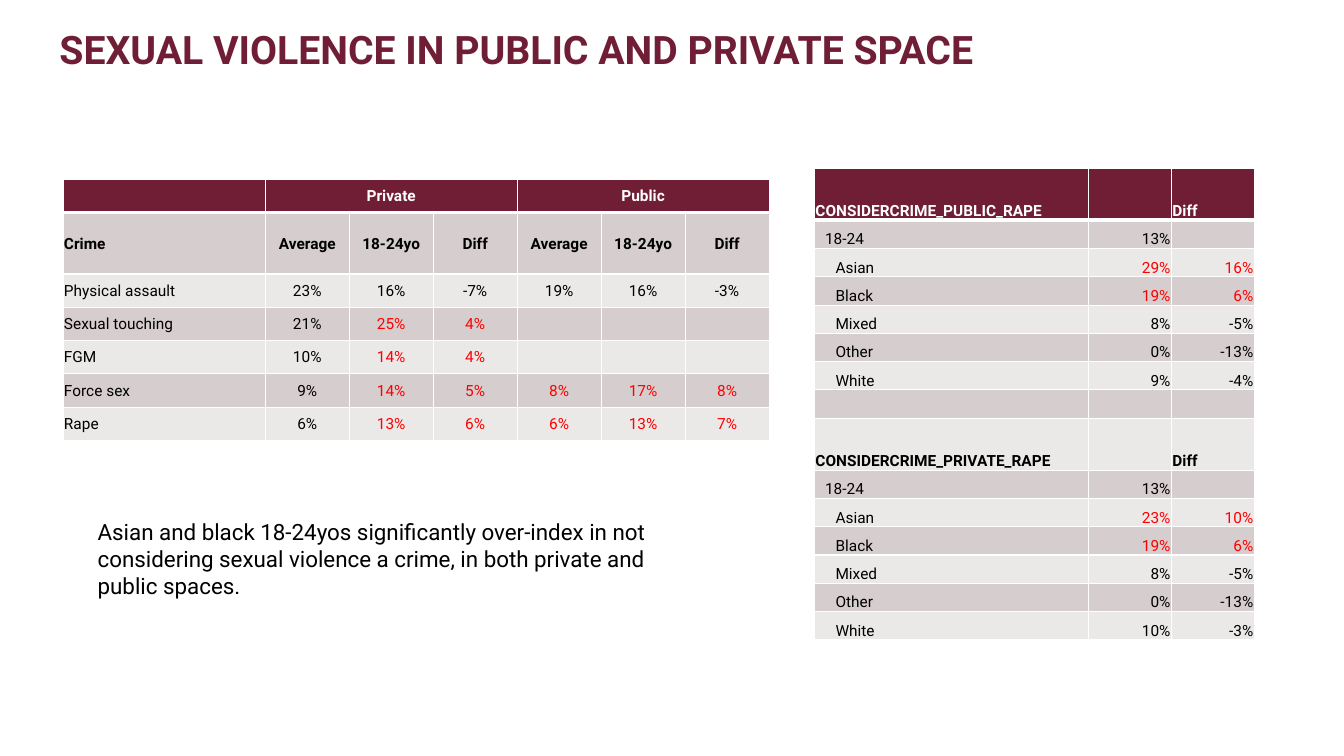
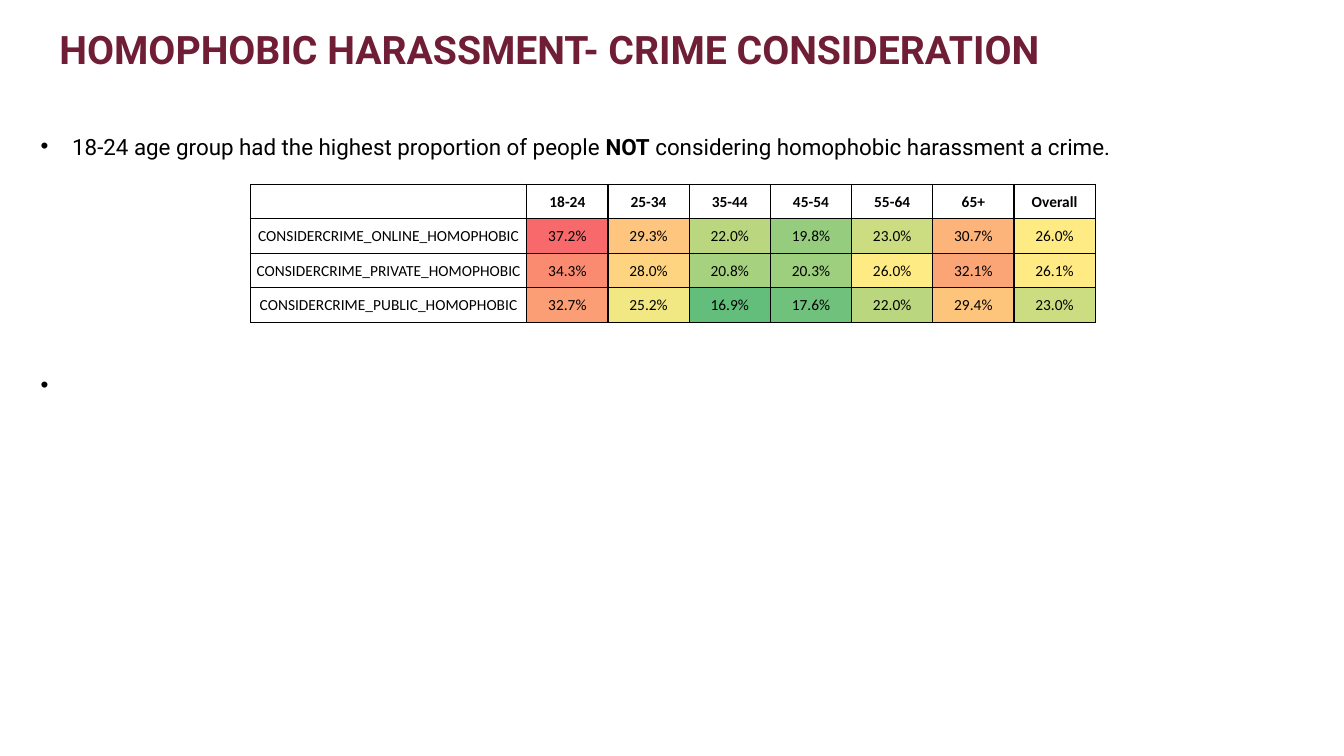
import pptx
import pptx.dml.color
import pptx.enum.text
import pptx.oxml
import pptx.oxml.ns
import pptx.util

Pt = pptx.util.Pt
ALIGN = pptx.enum.text.PP_ALIGN
ANCHOR = pptx.enum.text.MSO_ANCHOR
NAMESPACE = pptx.oxml.ns.nsdecls("a")

COLORS = {
    "maroon": "701D36", "band_dark": "D5CDCE", "band_light": "EBE8E8",
    "white": "FFFFFF", "black": "000000", "red": "FF0000",
    "low": "63BE7B", "middle": "FFEB84", "high": "F8696B",
}
FONT = "Roboto"
TABLE_FONT_SIZE = 11

CRIME_ROWS = [
    ["", "Private", "", "", "Public", "", ""],
    ["Crime", "Average", "18-24yo", "Diff", "Average", "18-24yo", "Diff"],
    ["Physical assault", "23%", "16%", "-7%", "19%", "16%", "-3%"],
    ["Sexual touching", "21%", "25%", "4%", "", "", ""],
    ["FGM", "10%", "14%", "4%", "", "", ""],
    ["Force sex", "9%", "14%", "5%", "8%", "17%", "8%"],
    ["Rape", "6%", "13%", "6%", "6%", "13%", "7%"],
]
ETHNICITY_ROWS = [
    ["CONSIDERCRIME_PUBLIC_RAPE", "", "Diff"],
    ["18-24", "13%", ""],
    ["Asian", "29%", "16%"],
    ["Black", "19%", "6%"],
    ["Mixed", "8%", "-5%"],
    ["Other", "0%", "-13%"],
    ["White", "9%", "-4%"],
    ["", "", ""],
    ["CONSIDERCRIME_PRIVATE_RAPE", "", "Diff"],
    ["18-24", "13%", ""],
    ["Asian", "23%", "10%"],
    ["Black", "19%", "6%"],
    ["Mixed", "8%", "-5%"],
    ["Other", "0%", "-13%"],
    ["White", "10%", "-3%"],
]
AGE_GROUPS = ["18-24", "25-34", "35-44", "45-54", "55-64", "65+", "Overall"]
HOMOPHOBIC_SHARES = {
    "CONSIDERCRIME_ONLINE_HOMOPHOBIC": [37.2, 29.3, 22.0, 19.8, 23.0, 30.7, 26.0],
    "CONSIDERCRIME_PRIVATE_HOMOPHOBIC": [34.3, 28.0, 20.8, 20.3, 26.0, 32.1, 26.1],
    "CONSIDERCRIME_PUBLIC_HOMOPHOBIC": [32.7, 25.2, 16.9, 17.6, 22.0, 29.4, 23.0],
}
SHARE_MIDPOINT = 26.0


def rgb(hex_color):
    return pptx.dml.color.RGBColor.from_string(hex_color)


def set_font(font, size, color=COLORS["black"], bold=False, name=FONT):
    font.name, font.size, font.bold = name, Pt(size), bold
    font.color.rgb = rgb(color)


# Text
def add_text_frame(slide, left, top, width, height, inset_x, inset_y):
    frame = slide.shapes.add_textbox(Pt(left), Pt(top), Pt(width), Pt(height)).text_frame
    frame.word_wrap = True
    frame.margin_left = frame.margin_right = Pt(inset_x)
    frame.margin_top = frame.margin_bottom = Pt(inset_y)
    return frame


def add_title(slide, text):
    paragraph = add_text_frame(slide, 42.5, 18, 917.5, 34, 0, 0).paragraphs[0]
    paragraph.text = text
    set_font(paragraph.font, 28, COLORS["maroon"], bold=True)


def add_comment(slide, left, top, text):
    paragraph = add_text_frame(slide, left, top, 431, 70, 5.76, 5.76).paragraphs[0]
    paragraph.text = text
    set_font(paragraph.font, 16)


def format_bullet(paragraph):
    properties = paragraph._p.get_or_add_pPr()
    properties.set("marL", str(Pt(22.5)))
    properties.set("indent", str(Pt(-22.5)))
    for xml in ('<a:buFont %s typeface="Arial"/>', '<a:buChar %s char="•"/>'):
        properties.append(pptx.oxml.parse_xml(xml % NAMESPACE))
    paragraph.line_spacing = 1.07
    paragraph.space_after = Pt(8)
    set_font(paragraph.font, 16)


def add_bullets(slide, left, top):
    frame = add_text_frame(slide, left, top, 917, 200, 7.2, 3.6)
    finding = frame.paragraphs[0]
    format_bullet(finding)
    for text, bold in (("18-24 age group had the highest proportion of people ", False),
                       ("NOT", True),
                       (" considering homophobic harassment a crime.", False)):
        run = finding.add_run()
        run.text = text
        run.font.bold = bold
    # Open bullet below the table
    open_bullet = frame.add_paragraph()
    format_bullet(open_bullet)
    open_bullet.space_before = Pt(142)
    open_bullet.add_run().text = " "


# Tables
def set_borders(cell, color, top=1, bottom=1):
    properties = cell._tc.get_or_add_tcPr()
    for side, width in (("L", 1), ("R", 1), ("T", top), ("B", bottom)):
        properties.append(pptx.oxml.parse_xml(
            f'<a:ln{side} {NAMESPACE} w="{Pt(width)}"><a:solidFill>'
            f'<a:srgbClr val="{color}"/></a:solidFill></a:ln{side}>'))


def add_table(slide, left, top, column_widths, row_heights):
    table = slide.shapes.add_table(
        len(row_heights), len(column_widths), Pt(left), Pt(top),
        Pt(sum(column_widths)), Pt(sum(row_heights))).table
    table.first_row = table.horz_banding = False
    for column, width in zip(table.columns, column_widths):
        column.width = Pt(width)
    for row, height in zip(table.rows, row_heights):
        row.height = Pt(height)
    return table


def fill_cell(cell, text, fill=None, color=COLORS["black"], bold=False, name=FONT,
              align=ALIGN.CENTER, anchor=ANCHOR.MIDDLE, indent=0.7):
    cell.margin_left, cell.margin_right = Pt(indent), Pt(0.7)
    cell.margin_top, cell.margin_bottom = Pt(0.7), 0
    cell.vertical_anchor = anchor
    if fill:
        cell.fill.solid()
        cell.fill.fore_color.rgb = rgb(fill)
    else:
        cell.fill.background()
    paragraph = cell.text_frame.paragraphs[0]
    paragraph.alignment = align
    set_font(paragraph.font, TABLE_FONT_SIZE, color, bold, name)
    if text:
        paragraph.add_run().text = text
    else:
        # Keeps empty cells from stretching their row
        paragraph._p.append(pptx.oxml.parse_xml(
            f'<a:endParaRPr {NAMESPACE} sz="{TABLE_FONT_SIZE * 100}"/>'))


def fill_banded_cell(cell, row, text, **style):
    """Maroon header row with a thick rule below, then alternating bands."""
    set_borders(cell, COLORS["white"], top=3 if row == 1 else 1, bottom=3 if row == 0 else 1)
    fill = COLORS["maroon"] if row == 0 else COLORS["band_dark" if row % 2 else "band_light"]
    if row == 0:
        style["color"] = COLORS["white"]
    fill_cell(cell, text, fill, **style)


def add_crime_table(slide, left, top):
    heights = [23.8, 43.9] + [23.8] * 5
    table = add_table(slide, left, top, [144.5] + [60] * 6, heights)
    for row, texts in enumerate(CRIME_ROWS):
        for column, text in enumerate(texts):
            over_index = row >= 3 and column >= 2
            fill_banded_cell(
                table.cell(row, column), row, text, bold=row < 2,
                color=COLORS["red" if over_index else "black"],
                align=ALIGN.CENTER if column else ALIGN.LEFT)
    for first in (1, 4):
        table.cell(0, first).merge(table.cell(0, first + 2))


def add_ethnicity_table(slide, left, top):
    heights = [37.2 if texts[2] == "Diff" else 20.2 for texts in ETHNICITY_ROWS]
    table = add_table(slide, left, top, [195.8, 59.2, 59.2], heights)
    for row, (label, share, difference) in enumerate(ETHNICITY_ROWS):
        heading = difference == "Diff"
        over_index = difference.endswith("%") and not difference.startswith("-")
        label_indent = 0.7 if heading else 7.5 if label == "18-24" else 15
        for column, text in enumerate((label, share, difference)):
            number = column > 0 and not heading
            fill_banded_cell(
                table.cell(row, column), row, text, bold=heading, anchor=ANCHOR.BOTTOM,
                color=COLORS["red" if over_index and number else "black"],
                align=ALIGN.RIGHT if number else ALIGN.LEFT,
                indent=0.7 if column else label_indent)


def heat_color(value, lowest, highest):
    """Three-colour scale: green, yellow at the midpoint, red."""
    end, limit = ("low", lowest) if value < SHARE_MIDPOINT else ("high", highest)
    ratio = (value - SHARE_MIDPOINT) / (limit - SHARE_MIDPOINT)
    channels = zip(rgb(COLORS["middle"]), rgb(COLORS[end]))
    return "".join(f"{round(a + (b - a) * ratio):02X}" for a, b in channels)


def add_heat_table(slide, left, top):
    table = add_table(slide, left, top, [197.3] + [58] * 7, [24.7] * 4)
    shares = [value for values in HOMOPHOBIC_SHARES.values() for value in values]
    lowest, highest = min(shares), max(shares)
    rows = [("", AGE_GROUPS), *HOMOPHOBIC_SHARES.items()]
    for row, (label, values) in enumerate(rows):
        for column, value in enumerate([label, *values]):
            cell = table.cell(row, column)
            set_borders(cell, COLORS["black"])
            if row and column:
                fill_cell(cell, f"{value:.1f}%", heat_color(value, lowest, highest), name="Calibri")
            else:
                fill_cell(cell, value, bold=row == 0, name="Calibri")


# Slides
def add_slide(presentation, title):
    slide = presentation.slides.add_slide(presentation.slide_layouts[6])
    add_title(slide, title)
    return slide


def build_space_slide(presentation):
    slide = add_slide(presentation, "SEXUAL VIOLENCE IN PUBLIC AND PRIVATE SPACE")
    add_crime_table(slide, 45, 128)
    add_ethnicity_table(slide, 581.8, 120.2)
    add_comment(slide, 64, 364.5,
                "Asian and black 18-24yos significantly over-index in not considering "
                "sexual violence a crime, in both private and public spaces.")


def build_harassment_slide(presentation):
    slide = add_slide(presentation, "HOMOPHOBIC HARASSMENT- CRIME CONSIDERATION")
    add_bullets(slide, 22, 90)
    add_heat_table(slide, 179, 131.5)


def main():
    presentation = pptx.Presentation()
    presentation.slide_width, presentation.slide_height = Pt(960), Pt(540)
    build_space_slide(presentation)
    build_harassment_slide(presentation)
    presentation.save("out.pptx")


if __name__ == "__main__":
    main()
